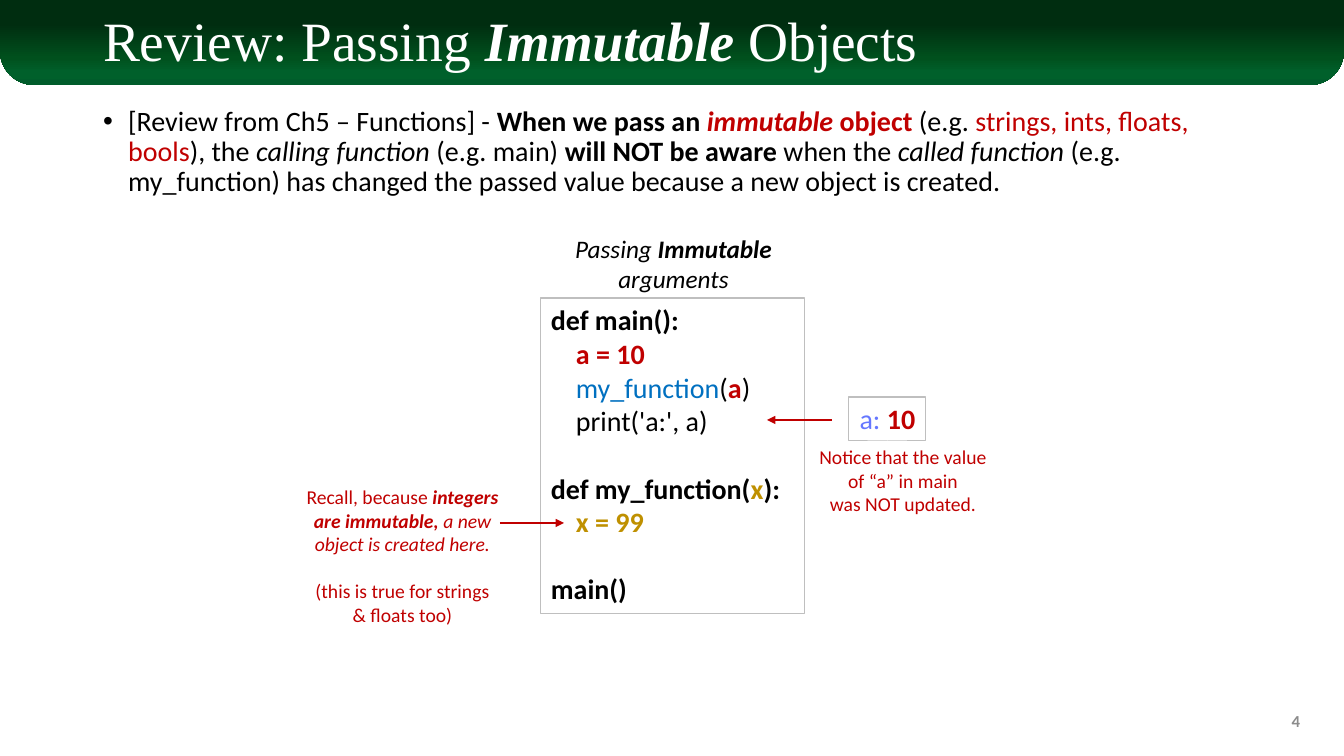
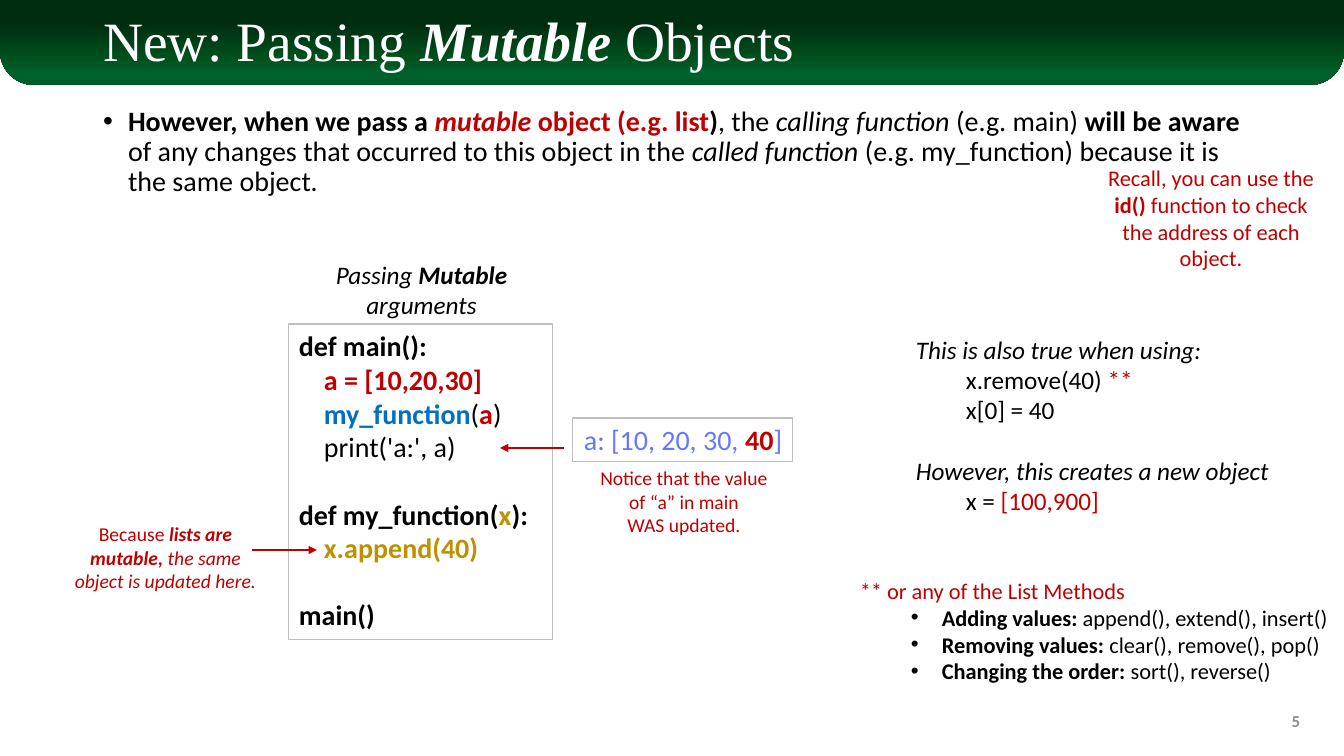
"""Build two slides on passing immutable and mutable objects to functions."""
from lxml import etree
from pptx import Presentation
from pptx.dml.color import RGBColor
from pptx.enum.shapes import MSO_CONNECTOR, MSO_SHAPE
from pptx.enum.text import MSO_ANCHOR, PP_ALIGN
from pptx.oxml.ns import qn
from pptx.util import Pt

EMU_PER_PX = 914400 / 100.8
LEFT, CENTER, RIGHT = PP_ALIGN.LEFT, PP_ALIGN.CENTER, PP_ALIGN.RIGHT
MIDDLE = MSO_ANCHOR.MIDDLE
STRAIGHT = MSO_CONNECTOR.STRAIGHT
BOTTOM_ROUNDED = MSO_SHAPE.ROUND_2_SAME_RECTANGLE

BODY_FONT, TITLE_FONT = "Calibri", "Times New Roman"
BLACK, WHITE, RED, GOLD = "000000", "FFFFFF", "C00000", "BF9000"
BLUE, VIOLET, GRAY, BORDER = "0070C0", "6577FF", "8C8C8C", "BFBFBF"
BAND_STOPS = [(0, "002D10"), (28, "002D10"), (68, "00501D"), (85, "00602B"), (100, "005C2B")]

CODE_INDENTS = {line: (25, 0) for line in (1, 2, 3, 5)}
CODE_GAPS = {4: 24, 6: 24}


def px(*lengths):
    """Turn lengths in px into EMU."""
    return [round(length * EMU_PER_PX) for length in lengths]


def write(shape, size, alignment, paragraphs, indents={}, gaps={}, font=BODY_FONT):
    """Fill a shape with paragraphs made of (text, style, colour) runs."""
    frame = shape.text_frame
    frame.word_wrap = True
    for index, runs in enumerate(paragraphs):
        paragraph = frame.add_paragraph() if index else frame.paragraphs[0]
        paragraph.alignment = alignment
        paragraph.space_before = Pt(gaps.get(index, 0))
        left, first = indents.get(index, (0, 0))
        properties = paragraph._p.get_or_add_pPr()
        properties.set("marL", str(px(left)[0]))
        properties.set("indent", str(px(first)[0]))
        if first:
            etree.SubElement(properties, qn("a:buFont")).set("typeface", "Arial")
            etree.SubElement(properties, qn("a:buChar")).set("char", "•")
        for text, style, colour in runs:
            run = paragraph.add_run()
            run.text = text
            run.font.name = font
            run.font.size = Pt(size)
            run.font.bold = "b" in style
            run.font.italic = "i" in style
            run.font.color.rgb = RGBColor.from_string(colour)


slides = [
    {
        "number": "4",
        "title": ("Review: Passing ", "Immutable"),
        "body": [
            ("[Review from Ch5 – Functions] - ", "", BLACK),
            ("When we pass an ", "b", BLACK),
            ("immutable", "bi", RED),
            (" object ", "b", RED),
            ("(e.g. ", "", BLACK),
            ("strings, ints, floats, bools", "", RED),
            ("), the ", "", BLACK),
            ("calling function ", "i", BLACK),
            ("(e.g. main) ", "", BLACK),
            ("will NOT be aware ", "b", BLACK),
            ("when the ", "", BLACK),
            ("called function", "i", BLACK),
            (" (e.g. my_function) has changed the passed value"
             " because a new object is created.", "", BLACK),
        ],
        "code_at": (541, 298),
        "assignment": "a = 10",
        "call_style": "",
        "change": "x = 99",
        "value_frame": (849, 397, 77, 44),
        "value": [("a: ", "", VIOLET), ("10", "b", RED)],
        "notice_at": (804, 440),
        "notice": "was NOT updated.",
        "arrows": [(500, 523, 564, 523), (832, 420, 767, 420)],
        "notes": [
            ((296, 480, 213, 152), 14, CENTER, [
                [("Recall, because ", "", RED), ("integers are immutable, ", "bi", RED),
                 ("a new object is created here.", "i", RED)],
                [("(this is true for strings", "", RED)],
                [("& floats too)", "", RED)],
            ], {}, {1: 17}),
        ],
    },
    {
        "number": "5",
        "title": ("New: Passing ", "Mutable"),
        "body": [
            ("However, when we pass a ", "b", BLACK),
            ("mutable", "bi", RED),
            (" object (e.g. list", "b", RED),
            (")", "b", BLACK),
            (", the ", "", BLACK),
            ("calling function ", "i", BLACK),
            ("(e.g. main) ", "", BLACK),
            ("will be aware ", "b", BLACK),
            ("of any changes that occurred to this object in the ", "", BLACK),
            ("called function", "i", BLACK),
            (" (e.g. my_function) because it is the same object", "", BLACK),
            (".", "i", BLACK),
        ],
        "code_at": (289, 324),
        "assignment": "a = [10,20,30]",
        "call_style": "b",
        "change": "x.append(40)",
        "value_frame": (573, 418, 220, 44),
        "value": [("a: [10, 20, 30, ", "", VIOLET), ("40", "b", RED), ("]", "", VIOLET)],
        "notice_at": (585, 461),
        "notice": "WAS updated.",
        "arrows": [(252, 550, 317, 550), (564, 448, 500, 448)],
        "notes": [
            ((59, 517, 213, 82), 14, CENTER, [
                [("Because ", "", RED), ("lists are mutable, ", "bi", RED),
                 ("the same object is updated here.", "i", RED)],
            ], {}, {}),
            ((1098, 159, 226, 119), 16, CENTER, [
                [("Recall, you can use the ", "", RED), ("id() ", "b", RED),
                 ("function to check the address of each object.", "", RED)],
            ], {}, {}),
            ((906, 329, 377, 194), 18, LEFT, [
                [("This is also true when using:", "i", BLACK)],
                [("x.remove(40) ", "", BLACK), ("**", "", RED)],
                [("x[0] = 40", "", BLACK)],
                [("However, this creates a new object", "i", BLACK)],
                [("x = ", "", BLACK), ("[100,900]", "", RED)],
            ], {line: (50, 0) for line in (1, 2, 4)}, {3: 22}),
            ((850, 572, 494, 122), 16, LEFT, [
                [("** or any of the List Methods", "", RED)],
                [("Adding values: ", "b", BLACK), ("append(), extend(), insert()", "", BLACK)],
                [("Removing values: ", "b", BLACK), ("clear(), remove(), pop()", "", BLACK)],
                [("Changing the order: ", "b", BLACK), ("sort(), reverse()", "", BLACK)],
            ], {line: (82, -31) for line in (1, 2, 3)}, {}),
        ],
    },
]

presentation = Presentation()
presentation.slide_width, presentation.slide_height = px(1344, 756)
layout = presentation.slide_layouts[1]
for placeholder, frame in zip(layout.placeholders, [(93, 13, 1159, 61), (93, 102, 1159, 572)]):
    placeholder.left, placeholder.top, placeholder.width, placeholder.height = px(*frame)

for position, content in enumerate(slides):
    slide = presentation.slides.add_slide(layout)
    if position == 0:
        band = slide.shapes.add_shape(BOTTOM_ROUNDED, *px(0, 0, 1344, 85))
        band.adjustments[0], band.adjustments[1] = 0, 0.4
        band.shadow.inherit = False
        band.line.fill.background()
        band.fill.gradient()
        band.fill.gradient_angle = 270
        stops = band.element.find(".//" + qn("a:gsLst"))
        for stop in list(stops):
            stops.remove(stop)
        for percent, colour in BAND_STOPS:
            stop = etree.SubElement(stops, qn("a:gs"), pos=str(percent * 1000))
            etree.SubElement(stop, qn("a:srgbClr"), val=colour)
        layout.shapes.element.insert(2, band.element)

    title, body = slide.placeholders
    opening, kind = content["title"]
    write(title, 39.6, LEFT, [[(opening, "", WHITE), (kind, "bi", WHITE),
                               (" Objects", "", WHITE)]], font=TITLE_FONT)
    title.text_frame.vertical_anchor = MIDDLE
    write(body, 20, LEFT, [content["body"]], {0: (25, -25)}, {0: 10})
    for placeholder in (title, body):
        placeholder.text_frame.paragraphs[0].line_spacing = 0.9

    number = slide.shapes.add_textbox(*px(1008, 701, 302, 40))
    write(number, 12, RIGHT, [[(content["number"], "b", GRAY)]])
    number.text_frame.vertical_anchor = MIDDLE

    code_left, code_top = content["code_at"]
    code = slide.shapes.add_textbox(*px(code_left, code_top, 264, 316))
    write(code, 20, LEFT, [
        [("def main():", "b", BLACK)],
        [(content["assignment"], "b", RED)],
        [("my_function", content["call_style"], BLUE), ("(", "", BLACK),
         ("a", "b", RED), (")", "", BLACK)],
        [("print('a:', a)", "", BLACK)],
        [("def my_function(", "b", BLACK), ("x", "b", GOLD), ("):", "b", BLACK)],
        [(content["change"], "b", GOLD)],
        [("main()", "b", BLACK)],
    ], CODE_INDENTS, CODE_GAPS)

    value = slide.shapes.add_textbox(*px(*content["value_frame"]))
    write(value, 20, CENTER, [content["value"]])
    value.text_frame.word_wrap = False
    for box in (code, value):
        box.line.color.rgb = RGBColor.from_string(BORDER)
        box.line.width = Pt(0.75)

    caption = slide.shapes.add_textbox(*px(code_left + 16, code_top - 70, 233, 72))
    write(caption, 18, CENTER, [[("Passing ", "i", BLACK), (kind, "bi", BLACK),
                                 (" arguments", "i", BLACK)]])

    notice = slide.shapes.add_textbox(*px(*content["notice_at"], 198, 82))
    write(notice, 14, CENTER, [[("Notice that the value of “a” in main", "", RED)],
                               [(content["notice"], "", RED)]])

    for frame, size, alignment, paragraphs, indents, gaps in content["notes"]:
        note = slide.shapes.add_textbox(*px(*frame))
        write(note, size, alignment, paragraphs, indents, gaps)

    for ends in content["arrows"]:
        arrow = slide.shapes.add_connector(STRAIGHT, *px(*ends))
        arrow.line.color.rgb = RGBColor.from_string(RED)
        arrow.line.width = Pt(1)
        properties = arrow.element.spPr
        etree.SubElement(properties.find(qn("a:ln")), qn("a:tailEnd"), type="triangle")
        etree.SubElement(properties, qn("a:effectLst"))

presentation.save("out.pptx")
